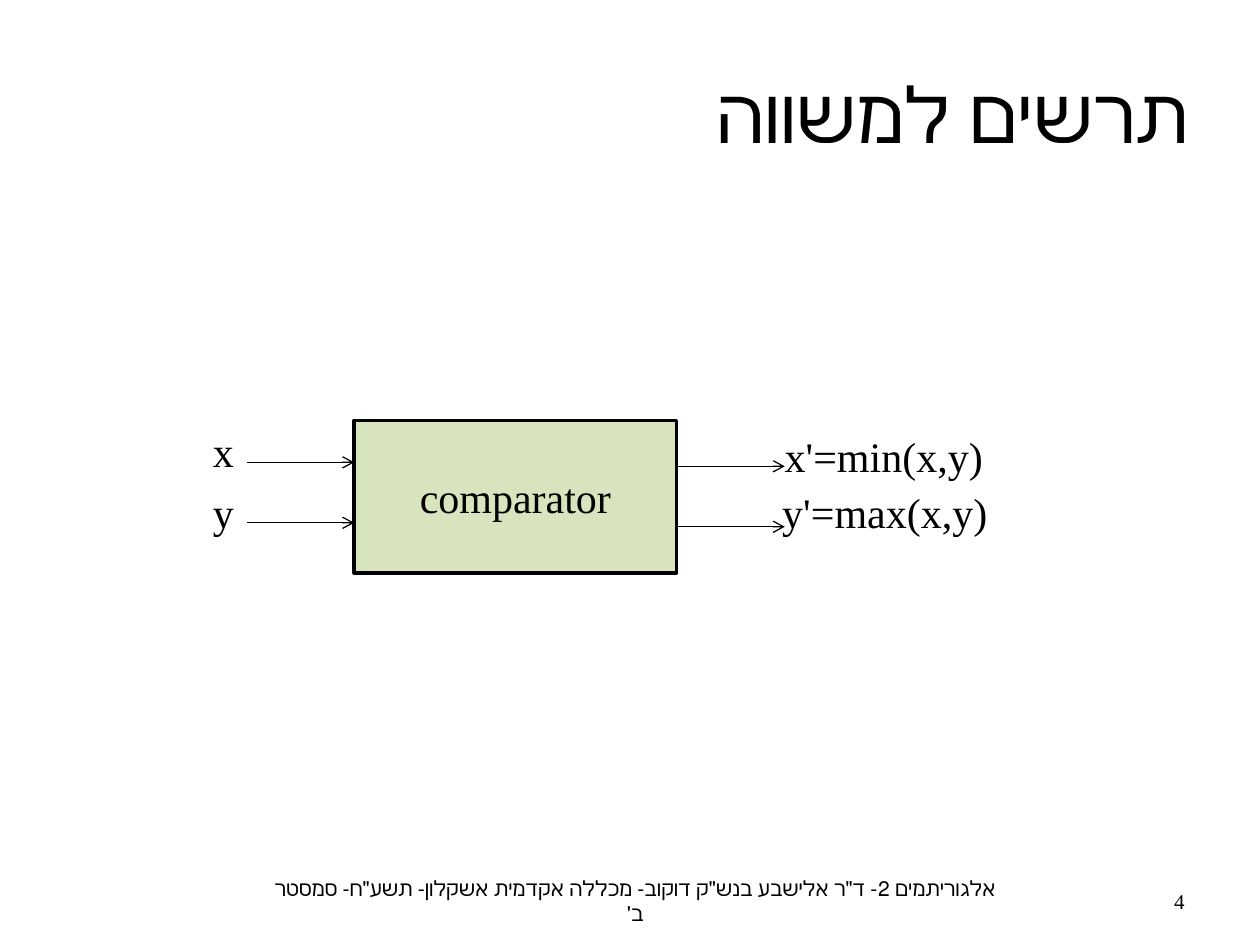
"""Build a slide that shows a comparator with its inputs and outputs."""
from typing import NamedTuple

from lxml.etree import SubElement
from pptx import Presentation
from pptx.dml.color import RGBColor
from pptx.enum.shapes import MSO_CONNECTOR, MSO_SHAPE
from pptx.enum.text import MSO_ANCHOR as ANCHOR, MSO_AUTO_SIZE as AUTO, PP_ALIGN as ALIGN
from pptx.oxml.ns import qn
from pptx.util import Cm, Pt

FONT = "Times New Roman"
BLACK, GREEN = "000000", "D7E4BD"


class Box(NamedTuple):
    left: float
    top: float
    width: float
    height: float

    def lengths(self) -> list:
        return [Cm(v) for v in self]


class Label(NamedTuple):
    text: str
    box: Box


class Arrow(NamedTuple):
    left: float
    right: float
    y: float


BODY = Box(7.14, 8.48, 6.5, 3.07)
BODY_RIGHT = BODY.left + BODY.width
ARROWS = [
    Arrow(BODY_RIGHT, 15.82, 9.4),
    Arrow(BODY_RIGHT, 15.82, 10.62),
    Arrow(4.98, BODY.left, 9.32),
    Arrow(4.98, BODY.left, 10.54),
]
LABELS = [
    Label("x", Box(4.04, 8.46, 1.85, 1.27)),
    Label("y", Box(4.04, 9.68, 1.85, 1.27)),
    Label("x'=min(x,y)", Box(15.57, 8.56, 7.67, 1.27)),
    Label("y'=max(x,y)", Box(15.52, 9.68, 7.67, 1.27)),
]


def rgb(value: str) -> RGBColor:
    return RGBColor.from_string(value)


def write(sp, text: str, *, size: float = 24, align=ALIGN.LEFT, anchor=ANCHOR.MIDDLE,
          rtl: bool = False, grow: bool = False) -> None:
    tf = sp.text_frame
    tf.word_wrap = True
    tf.auto_size = AUTO.SHAPE_TO_FIT_TEXT if grow else AUTO.NONE
    tf.vertical_anchor = anchor
    p = tf.paragraphs[0]
    p.alignment = align
    if rtl:
        p._p.get_or_add_pPr().set("rtl", "1")
    r = p.add_run()
    r.text = text
    r.font.name, r.font.size = FONT, Pt(size)
    r.font.color.rgb = rgb(BLACK)


def add_text(shapes, label: Label, **fmt) -> None:
    write(shapes.add_textbox(*label.box.lengths()), label.text, **fmt)


def add_body(shapes, label: Label) -> None:
    sp = shapes.add_shape(MSO_SHAPE.RECTANGLE, *label.box.lengths())
    sp.shadow.inherit = False
    sp.fill.solid()
    sp.fill.fore_color.rgb = rgb(GREEN)
    sp.line.color.rgb = rgb(BLACK)
    sp.line.width = Pt(2)
    write(sp, label.text, align=ALIGN.CENTER)


def add_arrow(shapes, arrow: Arrow) -> None:
    y = Cm(arrow.y)
    s = shapes.add_connector(MSO_CONNECTOR.STRAIGHT, Cm(arrow.left), y, Cm(arrow.right), y)
    s.line.color.rgb = rgb(BLACK)
    s.line.width = Pt(0.75)
    SubElement(s.line._get_or_add_ln(), qn("a:tailEnd"), type="arrow")
    SubElement(s._element.spPr, qn("a:effectLst"))


def main() -> None:
    prs = Presentation()
    prs.slide_width, prs.slide_height = Cm(25.4), Cm(19.05)
    shapes = prs.slides.add_slide(prs.slide_layouts[6]).shapes

    add_text(shapes, Label("4", Box(18.21, 17.65, 5.92, 1.02)), size=12, align=ALIGN.RIGHT)
    add_text(shapes, Label("תרשים למשווה", Box(0.99, 0.79, 23.22, 2.97)),
             size=44, align=ALIGN.RIGHT, rtl=True)
    footer = "אלגוריתמים 2- ד\"ר אלישבע בנש\"ק דוקוב- מכללה אקדמית אשקלון- תשע\"ח- סמסטר ב'"
    add_text(shapes, Label(footer, Box(5.16, 17.65, 15.29, 1.02)),
             size=12, align=ALIGN.CENTER, rtl=True)

    diagram = shapes.add_group_shape().shapes
    add_body(diagram, Label("comparator", BODY))
    for arrow in ARROWS:
        add_arrow(diagram, arrow)
    for label in LABELS:
        add_text(diagram, label, anchor=ANCHOR.TOP, grow=True)

    prs.save("out.pptx")


if __name__ == "__main__":
    main()
